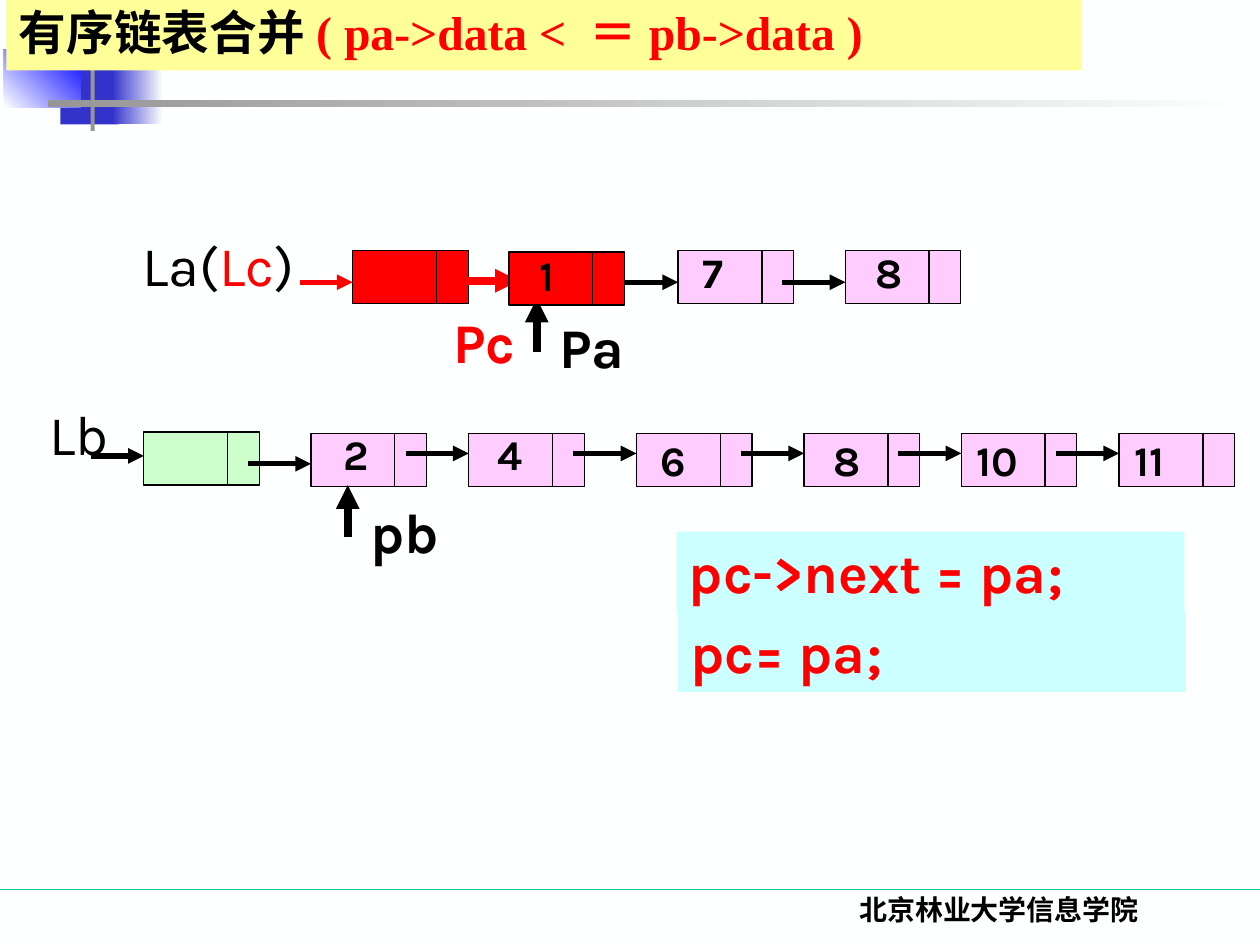
from lxml import etree
from pptx import Presentation
from pptx.dml.color import RGBColor
from pptx.enum import shapes, text
from pptx.oxml import ns
from pptx.util import Cm, Pt

BLACK, RED = RGBColor(0, 0, 0), RGBColor(0xFF, 0, 0)
PINK, MINT = RGBColor(0xFF, 0xCC, 0xFF), RGBColor(0xCC, 0xFF, 0xCC)
YELLOW, CYAN = RGBColor(0xFF, 0xFF, 0x99), RGBColor(0xCC, 0xFF, 0xFF)
PAPER, GRAY = RGBColor(0xFE, 0xFF, 0xFF), RGBColor(0x96, 0x96, 0x96)
INDIGO, BLUE = RGBColor(0x33, 0x33, 0xCC), RGBColor(0, 0, 0xFF)
GREEN = RGBColor(0, 0xCC, 0x99)
KARLA, TIMES, HAN = "Karla", "Times New Roman", "Noto Sans CJK SC"

# All lengths in cm
DATA_W, LINK_W, NODE_H = 1.69, 0.64, 1.07
LINK_ARROW = 1.27
VALUE_H, LABEL_H = 1.27, 1.63

# box, fill: one colour, or (start, end, angle)
DECOR = [
    ((1.22, 1.19, 1.17, 1.32), INDIGO),
    ((2.26, 1.19, 1.02, 1.32), (INDIGO, PAPER, 0)),
    ((0.08, 0.99, 1.55, 1.17), (PAPER, BLUE, 45)),
    ((1.83, 0, 0.08, 2.64), GRAY),
    ((0.97, 2.01, 24.16, 0.15), (GRAY, PAPER, 0)),
]

# left, top, fill, value, offset of the value from the node's corner
NODES = [
    (7.11, 5.05, RED, "", None),
    (13.67, 5.05, PINK, "7", (0.25, -0.2)),
    (17.04, 5.05, PINK, "8", (0.36, -0.2)),
    (2.9, 8.71, MINT, "", None),
    (6.27, 8.74, PINK, "2", (0.41, -0.23)),
    (9.45, 8.74, PINK, "4", (0.33, -0.23)),
    (12.83, 8.74, PINK, "6", (0.23, -0.1)),
    (16.21, 8.74, PINK, "8", (0.35, -0.1)),
    (19.38, 8.74, PINK, "10", (0.05, -0.1)),
    (22.56, 8.74, PINK, "11", (0.07, -0.1)),
]
MERGED_NODE = (10.26, 5.08, RED, "1", (0.36, -0.18))

# tip x, y, colour, width
LINKS = [
    (10.46, 5.66, RED, 4.5),
    (13.67, 5.69, BLACK, 3),
    (17.04, 5.69, BLACK, 3),
    (6.27, 9.35, BLACK, 3),
] + [(x, 9.14, BLACK, 3) for x in (9.45, 12.83, 16.21, 19.38, 22.56)]

# start, tip, colour, width
POINTERS = [
    ((6.05, 5.69), (7.11, 5.69), RED, 3),
    ((1.83, 9.19), (2.9, 9.19), BLACK, 3),
    ((10.82, 7.09), (10.82, 6.02), BLACK, 4.5),
    ((7.01, 10.82), (7.01, 9.78), BLACK, 4.5),
]

# left, top, width, bold, runs
LABELS = [
    (2.62, 4.52, 4.09, False, [("La(", BLACK), ("Lc", RED), (")", BLACK)]),
    (0.74, 7.92, 1.78, False, [("Lb", BLACK)]),
    (11.02, 6.17, 2.01, True, [("Pa", BLACK)]),
    (8.89, 6.07, 2.41, True, [("Pc", RED)]),
    (7.21, 9.91, 1.93, True, [("pb", BLACK)]),
]

# left, top, code
CODE_W = 10.24
CODE = [(13.64, 10.72, "pc->next = pa;"), (13.67, 12.32, "pc= pa;")]

TITLE = [("有序链表合并", BLACK, HAN), ("( pa->data < ＝pb->data )", RED, TIMES)]
FOOTER = [("北京林业大学信息学院", BLACK, TIMES)]


def rect(s, box, fill, outlined=False):
    sp = s.shapes.add_shape(shapes.MSO_SHAPE.RECTANGLE, *map(Cm, box))
    sp.shadow.inherit = False
    if isinstance(fill, tuple) and not isinstance(fill, RGBColor):
        start, end, angle = fill
        sp.fill.gradient()
        sp.fill.gradient_angle = angle
        for stop, color in zip(sp.fill.gradient_stops, (start, end)):
            stop.color.rgb = color
    else:
        sp.fill.solid()
        sp.fill.fore_color.rgb = fill
    if outlined:
        sp.line.color.rgb = BLACK
        sp.line.width = Pt(0.75)
    else:
        sp.line.fill.background()
    return sp


def write(sp, runs, size, bold=True, wrap=True):
    """Fill a shape with one paragraph of (text, colour, font) runs."""
    tf = sp.text_frame
    tf.word_wrap = wrap
    tf.vertical_anchor = text.MSO_ANCHOR.TOP
    p = tf.paragraphs[0]
    p.alignment = text.PP_ALIGN.LEFT
    for words, color, font in runs:
        r = p.add_run()
        r.text = words
        r.font.size, r.font.bold, r.font.name = Pt(size), bold, font
        r.font.color.rgb = color
        ea = etree.SubElement(r.font._element, ns.qn("a:ea"))
        ea.set("typeface", HAN)
    return p


def textbox(s, box, runs, size, bold=True, wrap=True):
    return write(s.shapes.add_textbox(*map(Cm, box)), runs, size, bold, wrap)


def line(s, start, end, color, width, arrow=True):
    c = s.shapes.add_connector(shapes.MSO_CONNECTOR.STRAIGHT,
                               *map(Cm, start + end))
    c.line.color.rgb = color
    c.line.width = Pt(width)
    if arrow:
        ln = c.line._get_or_add_ln()
        etree.SubElement(ln, ns.qn("a:tailEnd")).set("type", "triangle")
    etree.SubElement(c._element.spPr, ns.qn("a:effectLst"))


def node(s, x, y, fill, value, offset):
    rect(s, (x, y, DATA_W, NODE_H), fill, outlined=True)
    rect(s, (x + DATA_W, y, LINK_W, NODE_H), fill, outlined=True)
    if value:
        dx, dy = offset
        width = 0.51 + 0.48 * len(value)
        textbox(s, (x + dx, y + dy, width, VALUE_H),
                [(value, BLACK, KARLA)], 24, wrap=False)


def main():
    prs = Presentation()
    prs.slide_width, prs.slide_height = Cm(25.4), Cm(19.05)
    s = prs.slides.add_slide(prs.slide_layouts[6])
    s.background.fill.solid()
    s.background.fill.fore_color.rgb = PAPER

    line(s, (0, 17.93), (25.4, 17.93), GREEN, 0.75, arrow=False)
    for box, fill in DECOR:
        rect(s, box, fill)
    p = textbox(s, (14.88, 17.86, 10.52, 1.27), FOOTER, 16)
    p.alignment = text.PP_ALIGN.CENTER

    title = rect(s, (0.13, 0, 21.67, 1.42), YELLOW)
    write(title, TITLE, 27.2).line_spacing = 0.9
    title.text_frame.vertical_anchor = text.MSO_ANCHOR.MIDDLE

    for item in NODES:
        node(s, *item)
    for x, y, color, width in LINKS:
        line(s, (x - LINK_ARROW, y), (x, y), color, width)
    for pointer in POINTERS:
        line(s, *pointer)
    node(s, *MERGED_NODE)

    for x, y, width, bold, runs in LABELS:
        textbox(s, (x, y, width, LABEL_H),
                [(words, color, KARLA) for words, color in runs], 32, bold)
    for x, y, code in CODE:
        write(rect(s, (x, y, CODE_W, LABEL_H), CYAN),
              [(code, RED, KARLA)], 32)

    prs.save("out.pptx")


if __name__ == "__main__":
    main()
